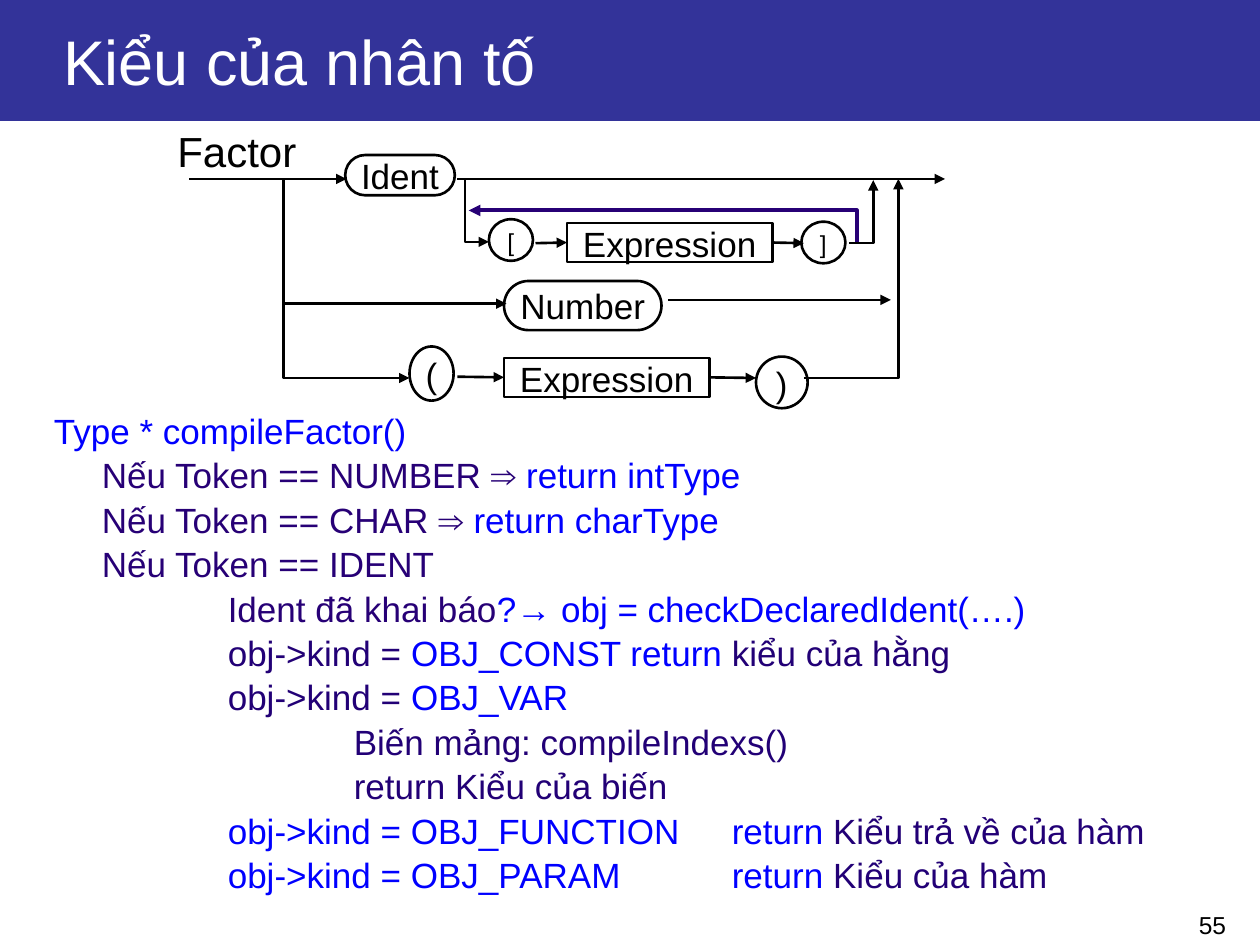
from dataclasses import dataclass
from typing import NamedTuple

from lxml import etree
from pptx import Presentation
from pptx.dml.color import RGBColor
from pptx.enum import shapes, text
from pptx.oxml import ns
from pptx.util import Inches, Pt


@dataclass(frozen=True)
class Theme:
    font: str = "Arial"
    banner: str = "333399"
    white: str = "FFFFFF"
    black: str = "000000"
    blue: str = "0000FF"
    violet: str = "270076"
    indigo: str = "220076"
    title_size: float = 36
    label_size: float = 24
    body_size: float = 20
    small_size: float = 14
    line: float = 1.5
    loop_line: float = 2.25


class Span(NamedTuple):
    words: str
    color: str


class Node(NamedTuple):
    label: str
    kind: shapes.MSO_SHAPE
    left: float
    top: float
    width: float
    height: float
    size: float = 20


class Arrow(NamedTuple):
    start: tuple
    end: tuple
    source: str = ""
    target: str = ""


class Track(NamedTuple):
    points: list
    color: str
    weight: float


THEME = Theme()
RECT, OVAL, PILL = (
    shapes.MSO_SHAPE.RECTANGLE,
    shapes.MSO_SHAPE.OVAL,
    shapes.MSO_SHAPE.ROUNDED_RECTANGLE,
)

NODES = {
    "ident": Node("Ident", PILL, 2.74, 1.23, 0.87, 0.32),
    "open_bracket": Node("[", OVAL, 3.88, 1.74, 0.35, 0.33, THEME.small_size),
    "index": Node("Expression", RECT, 4.5, 1.77, 1.63, 0.31),
    "close_bracket": Node("]", OVAL, 6.36, 1.76, 0.35, 0.33, THEME.small_size),
    "number": Node("Number", PILL, 4, 2.23, 1.25, 0.39),
    "open_paren": Node("(", OVAL, 3.25, 2.75, 0.35, 0.43),
    "nested": Node("Expression", RECT, 4, 2.84, 1.63, 0.31),
    "close_paren": Node(")", OVAL, 6, 2.83, 0.41, 0.41),
}

ARROWS = [
    Arrow((1.5, 1.42), (2.75, 1.42)),
    Arrow((3.63, 1.42), (7.5, 1.42)),
    Arrow((4.25, 1.93), (4.5, 1.93), target="index"),
    Arrow((6.13, 1.93), (6.38, 1.93), source="index"),
    Arrow((2.25, 2.41), (4.02, 2.41)),
    Arrow((5.3, 2.38), (7.07, 2.38)),
    Arrow((3.63, 2.99), (4, 2.99), target="nested"),
    Arrow((5.63, 3), (6, 3), source="nested"),
]

TRACKS = [
    Track([(2.25, 1.42), (2.25, 3), (3.25, 3)], THEME.black, THEME.line),
    Track([(6.38, 3), (7.13, 3), (7.13, 1.42)], THEME.black, THEME.line),
    Track([(3.69, 1.42), (3.69, 1.92), (3.88, 1.92)], THEME.black, THEME.line),
    Track([(6.74, 1.93), (6.93, 1.93), (6.93, 1.43)], THEME.black, THEME.line),
    Track([(6.8, 1.92), (6.8, 1.67), (3.72, 1.67)], THEME.violet, THEME.loop_line),
]

BODY = [
    [Span("Type * compileFactor()", THEME.blue)],
    [Span("\tNếu Token == NUMBER ⇒ ", THEME.violet), Span("return intType", THEME.blue)],
    [Span("\tNếu Token == CHAR ⇒ ", THEME.violet), Span("return charType", THEME.blue)],
    [Span("\tNếu Token == IDENT", THEME.violet)],
    [Span("\t\tIdent đã khai báo", THEME.violet),
     Span("?→ obj = checkDeclaredIdent(….)", THEME.blue)],
    [Span("\t\tobj->kind = ", THEME.indigo), Span("OBJ_CONST return", THEME.blue),
     Span(" kiểu của hằng", THEME.indigo)],
    [Span("\t\tobj->kind = ", THEME.indigo), Span("OBJ_VAR", THEME.blue)],
    [Span("\t\t\tBiến mảng: compileIndexs()", THEME.indigo)],
    [Span("\t\t\treturn Kiểu của biến", THEME.indigo)],
    [Span("\t\tobj->kind = OBJ_FUNCTION\treturn", THEME.blue),
     Span(" Kiểu trả về của hàm", THEME.indigo)],
    [Span("\t\tobj->kind = OBJ_PARAM\treturn", THEME.blue),
     Span(" Kiểu của hàm", THEME.indigo)],
]


def apply(target, values: dict) -> None:
    for name, value in values.items():
        setattr(target, name, value)


def format_frame(frame, left=0.0, top=0.0, right=0.0, bottom=0.0, wrap=True,
                 anchor=text.MSO_ANCHOR.TOP) -> None:
    apply(frame, {
        "auto_size": text.MSO_AUTO_SIZE.NONE,
        "word_wrap": wrap,
        "vertical_anchor": anchor,
        "margin_left": Inches(left),
        "margin_top": Inches(top),
        "margin_right": Inches(right),
        "margin_bottom": Inches(bottom),
    })


def write_span(para, words: str, size: float, color: str) -> None:
    span = para.add_run()
    span.text = words
    apply(span.font, {"name": THEME.font, "size": Pt(size), "bold": False})
    span.font.color.rgb = RGBColor.from_string(color)


def write_line(frame, words: str, size: float, color: str, align) -> None:
    para = frame.paragraphs[0]
    para.alignment = align
    write_span(para, words, size, color)


def style_line(shape, color: str, weight: float, arrow: bool) -> None:
    shape.line.color.rgb = RGBColor.from_string(color)
    shape.line.width = Pt(weight)
    if arrow:
        etree.SubElement(shape.line._get_or_add_ln(), ns.qn("a:tailEnd"), type="triangle")


def add_title(page, words: str) -> None:
    title = page.shapes.title
    apply(title, {"left": 0, "top": 0, "width": Inches(10), "height": Inches(0.96)})
    title.fill.solid()
    title.fill.fore_color.rgb = RGBColor.from_string(THEME.banner)
    format_frame(title.text_frame, 0.5, 0.05, 0.1, 0.05, anchor=text.MSO_ANCHOR.MIDDLE)
    write_line(title.text_frame, words, THEME.title_size, THEME.white, text.PP_ALIGN.LEFT)


def add_node(page, node: Node):
    shape = page.shapes.add_shape(
        node.kind, *map(Inches, (node.left, node.top, node.width, node.height)))
    shape.shadow.inherit = False
    shape.fill.background()
    style_line(shape, THEME.black, THEME.line, arrow=False)
    if node.kind == PILL:
        shape.adjustments[0] = 0.5
    format_frame(shape.text_frame, top=0 if node.kind == PILL else 0.02, wrap=False,
                 anchor=text.MSO_ANCHOR.MIDDLE)
    write_line(shape.text_frame, node.label, node.size, THEME.black, text.PP_ALIGN.CENTER)
    return shape


def add_arrow(page, arrow: Arrow, nodes: dict) -> None:
    line = page.shapes.add_connector(
        shapes.MSO_CONNECTOR.STRAIGHT, *map(Inches, arrow.start + arrow.end))
    if arrow.source:
        line.begin_connect(nodes[arrow.source], 3)
    if arrow.target:
        line.end_connect(nodes[arrow.target], 1)
    style_line(line, THEME.black, THEME.line, arrow=True)
    etree.SubElement(line._element.spPr, ns.qn("a:effectLst"))


def add_track(page, track: Track) -> None:
    first, *rest = [(Inches(x), Inches(y)) for x, y in track.points]
    builder = page.shapes.build_freeform(*first)
    builder.add_line_segments(rest, close=False)
    shape = builder.convert_to_shape()
    shape.fill.background()
    style_line(shape, track.color, track.weight, arrow=True)
    shape.shadow.inherit = False


def add_body(page) -> None:
    frame = page.shapes.add_textbox(*map(Inches, (0.33, 3.25, 9.17, 4.17))).text_frame
    format_frame(frame, 0.1, 0.05, 0.1, 0.05)
    for index, spans in enumerate(BODY):
        para = frame.add_paragraph() if index else frame.paragraphs[0]
        props = para._p.get_or_add_pPr()
        for name, length in {"marL": 0.38, "indent": -0.38, "defTabSz": 1}.items():
            props.set(name, str(Inches(length)))
        apply(para, {"line_spacing": 0.85, "space_before": Pt(5 if index else 0)})
        for span in spans:
            write_span(para, span.words, THEME.body_size, span.color)


def main() -> None:
    deck = Presentation()
    apply(deck, {"slide_width": Inches(10), "slide_height": Inches(7.5)})
    page = deck.slides.add_slide(deck.slide_layouts[5])
    add_title(page, "Kiểu của nhân tố")
    add_body(page)

    label = page.shapes.add_textbox(*map(Inches, (1.25, 1, 1.26, 0.4))).text_frame
    format_frame(label)
    write_line(label, "Factor", THEME.label_size, THEME.black, text.PP_ALIGN.CENTER)

    nodes = {name: add_node(page, node) for name, node in NODES.items()}
    for arrow in ARROWS:
        add_arrow(page, arrow, nodes)
    for track in TRACKS:
        add_track(page, track)

    number = page.shapes.add_textbox(*map(Inches, (7.75, 7.17, 2.08, 0.24))).text_frame
    format_frame(number, 0.1, 0.05, 0.1, 0.05)
    write_line(number, "55", THEME.small_size, THEME.black, text.PP_ALIGN.RIGHT)
    deck.save("out.pptx")


if __name__ == "__main__":
    main()
